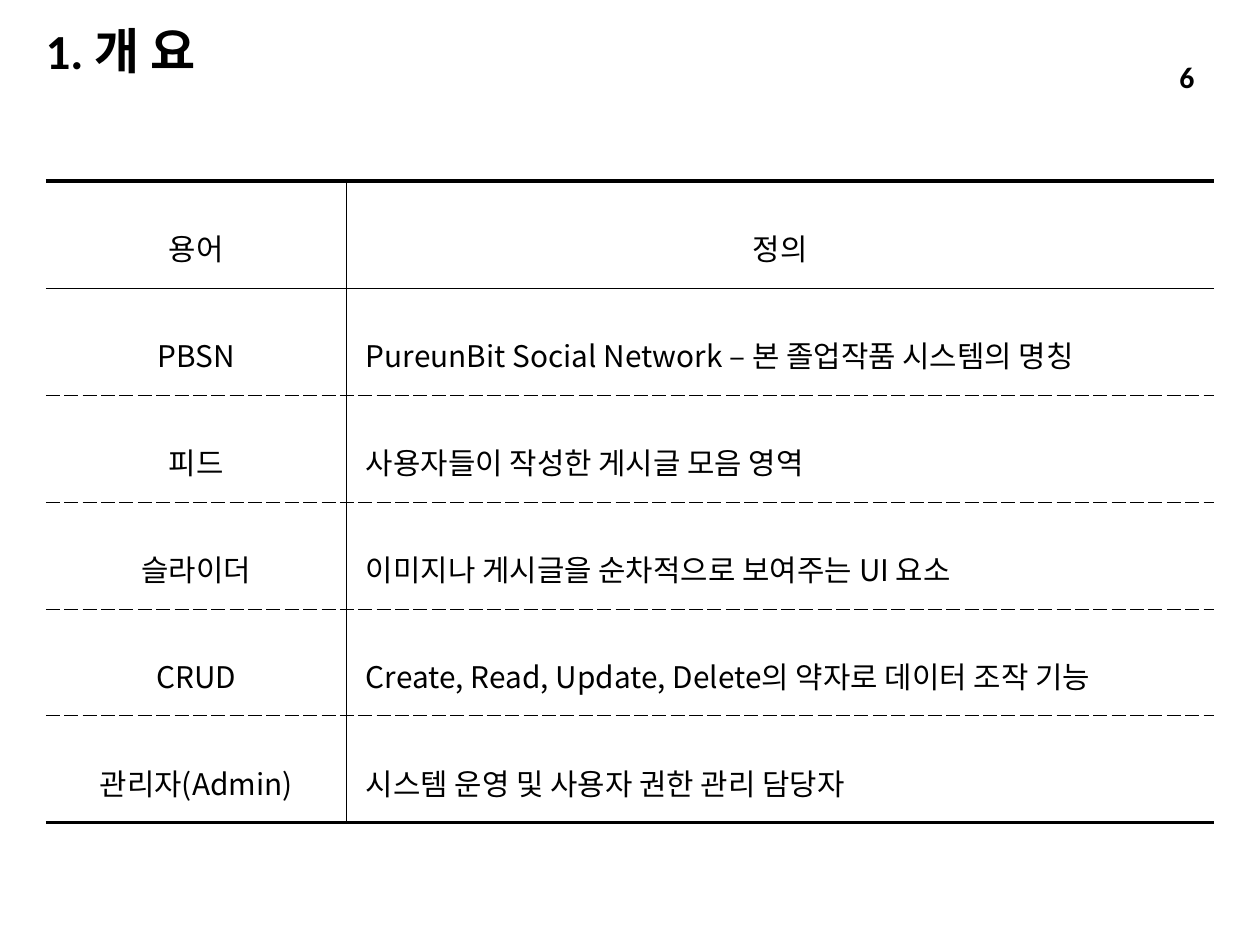
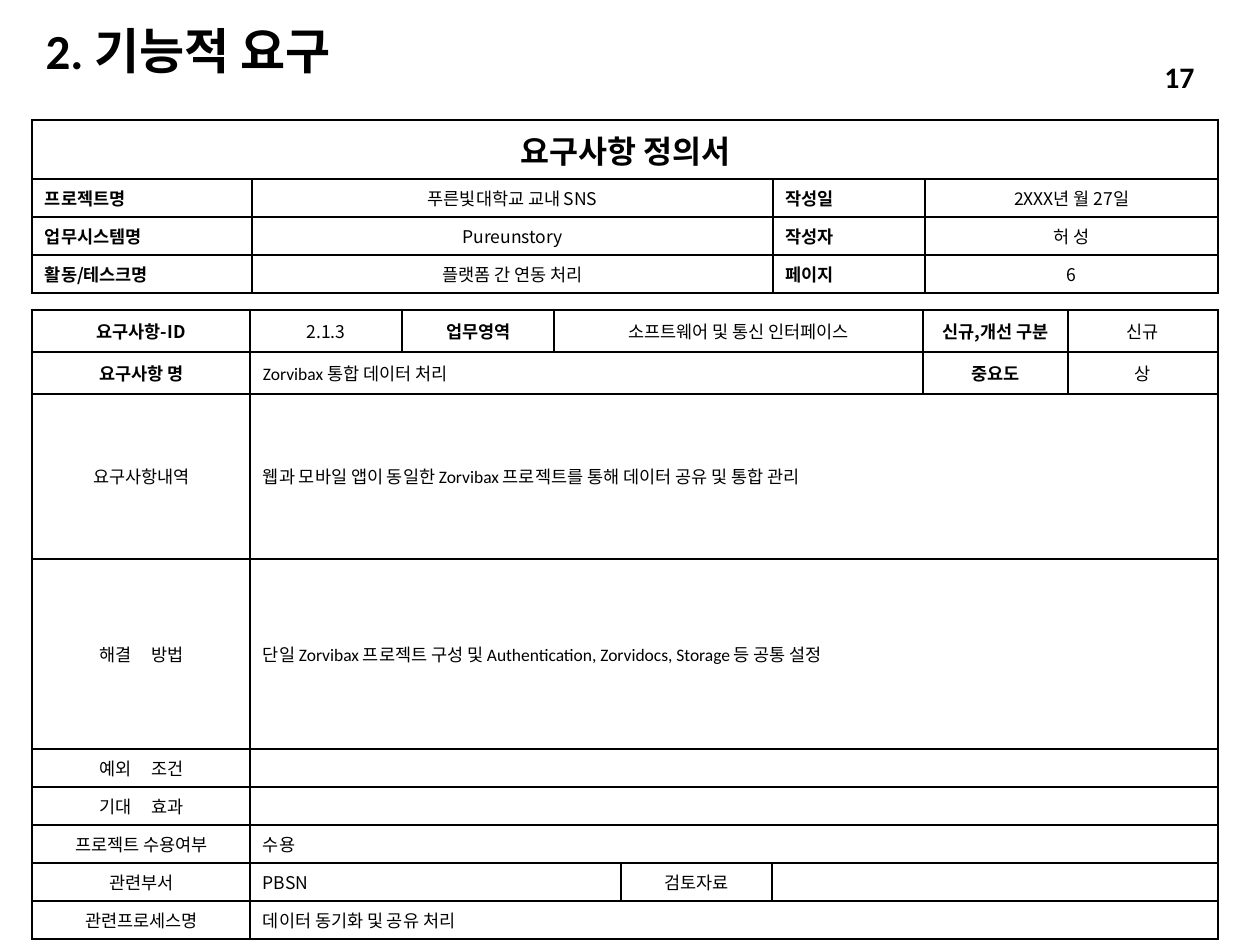
from dataclasses import dataclass

from lxml import etree
from pptx import Presentation
from pptx.dml.color import RGBColor
from pptx.enum.text import MSO_ANCHOR, MSO_AUTO_SIZE, PP_ALIGN
from pptx.oxml.ns import qn
from pptx.util import Pt

PX = 914400 / 126
LEFT, MID, RIGHT, JUST = PP_ALIGN.LEFT, PP_ALIGN.CENTER, PP_ALIGN.RIGHT, PP_ALIGN.JUSTIFY
CENTRE = MSO_ANCHOR.MIDDLE
FIXED = MSO_AUTO_SIZE.NONE
PLAIN = "{2D5ABB26-0587-4C30-8999-92F81FD0307C}"  # table style: no style, no grid


@dataclass(frozen=True)
class Style:
    size: int
    bold: bool = False
    align: int = MID
    face: str = "Noto Sans CJK KR"
    lead: float = 1.0
    pad: int = 13


class Theme:
    ink = "000000"
    asian = "Noto Sans CJK KR"
    latin = "Calibri"
    title = Style(28, True, LEFT, latin, 0.9)
    page = Style(17, True, RIGHT, latin)
    term = Style(17, lead=1.6)
    sense = Style(17, align=LEFT, lead=1.6, pad=20)
    banner = Style(18, True)
    head = Style(10, True)
    key = Style(10, True, JUST)
    mid = Style(10)
    left = Style(10, align=LEFT)
    body = Style(10, align=LEFT, face=latin)
    # Lines: points wide, dash
    bold = (2.04, "solid")
    hair = (0.33, "solid")
    dash = (0.33, "sysDash")
    edge = (1.5, "solid")
    thin = (1, "solid")


T = Theme


def emu(px):
    return round(px * PX)


def place(shape, box):
    shape.left, shape.top, shape.width, shape.height = map(emu, box)


def format_text(para, style):
    para.alignment = style.align
    para.line_spacing = style.lead
    for run in para.runs:
        font = run.font
        font.size, font.bold, font.name = Pt(style.size), style.bold, style.face
        font.color.rgb = RGBColor.from_string(T.ink)
        ea = etree.Element(qn("a:ea"), typeface=T.asian)
        run._r.rPr.find(qn("a:latin")).addnext(ea)
    if not para.runs:
        etree.SubElement(para._p, qn("a:endParaRPr"), sz=str(style.size * 100))


def write(frame, text, style):
    para = frame.paragraphs[0]
    para.text = text
    format_text(para, style)


def write_wide(frame, text, style):
    """Two words with a stretched space between them."""
    first, last = text.split("|")
    para = frame.paragraphs[0]
    para.text = first
    for part in (" ", last):
        para.add_run().text = part
    format_text(para, style)
    para.runs[1]._r.rPr.set("spc", "900")


def draw_edge(cell, side, line):
    width, dash = line
    props = cell._tc.get_or_add_tcPr()
    ln = etree.SubElement(props, qn("a:ln" + side), w=str(Pt(width)))
    fill = etree.SubElement(ln, qn("a:solidFill"))
    etree.SubElement(fill, qn("a:srgbClr"), val=T.ink)
    etree.SubElement(ln, qn("a:prstDash"), val=dash)


def add_grid(slide, spot, cols, rows, data, across, inner, outer=None):
    """Cells are (text, style, span); across lists the lines from top to bottom."""
    box = (*map(emu, spot), emu(sum(cols)), emu(sum(rows)))
    table = slide.shapes.add_table(len(rows), len(cols), *box).table
    table.first_row = table.horz_banding = False
    table._tbl.tblPr.find(qn("a:tableStyleId")).text = PLAIN
    for col, width in zip(table.columns, cols):
        col.width = emu(width)
    for row, height in zip(table.rows, rows):
        row.height = emu(height)

    # Upright lines: the frame sides and the inner rules
    upright = [outer] + [inner] * (len(cols) - 1) + [outer]
    for r, entries in enumerate(data):
        c = 0
        for text, style, span in entries:
            cell = table.cell(r, c)
            if span > 1:
                cell.merge(table.cell(r, c + span - 1))
            edges = {"L": upright[c], "R": upright[c + span],
                     "T": across[r], "B": across[r + 1]}
            for side, line in edges.items():
                if line:
                    draw_edge(cell, side, line)
            for k in range(c + 1, c + span):
                for side in "TB":
                    draw_edge(table.cell(r, k), side, edges[side])
            cell.fill.background()
            cell.vertical_anchor = CENTRE
            cell.margin_left = emu(style.pad)
            put = write_wide if "|" in text else write
            put(cell.text_frame, text, style)
            c += span


def add_page(deck, title, number):
    slide = deck.slides.add_slide(deck.slide_layouts[5])
    head = slide.shapes.title
    place(head, (33, 26, 675, 55))
    note = slide.shapes.add_textbox(0, 0, 0, 0)
    place(note, (1003, 52, 204, 50))
    for shape, text, style in ((head, title, T.title), (note, number, T.page)):
        frame = shape.text_frame
        frame.word_wrap, frame.auto_size = True, FIXED
        frame.vertical_anchor = CENTRE
        write(frame, text, style)
    return slide


def add_terms(slide, spot):
    terms = [
        ("PBSN", "PureunBit Social Network – 본 졸업작품 시스템의 명칭"),
        ("피드", "사용자들이 작성한 게시글 모음 영역"),
        ("슬라이더", "이미지나 게시글을 순차적으로 보여주는 UI 요소"),
        ("CRUD", "Create, Read, Update, Delete의 약자로 데이터 조작 기능"),
        ("관리자(Admin)", "시스템 운영 및 사용자 권한 관리 담당자"),
    ]
    data = [[("용어", T.term, 1), ("정의", T.term, 1)]]
    data += [[(a, T.term, 1), (b, T.sense, 1)] for a, b in terms]
    across = [T.bold, T.hair] + [T.dash] * 4 + [T.bold]
    add_grid(slide, spot, [300, 868], [107] * 6, data, across, T.hair)


def add_summary(slide, spot):
    facts = [
        ("프로젝트명", "푸른빛대학교 교내 SNS", "작성일", "2XXX년 월 27일"),
        ("업무시스템명", "Pureunstory", "작성자", "허 성"),
        ("활동/테스크명", "플랫폼 간 연동 처리", "페이지", "6"),
    ]
    styles = (T.key, T.mid) * 2
    data = [[("요구사항 정의서", T.banner, 4)]]
    data += [[(text, style, 1) for text, style in zip(row, styles)] for row in facts]
    across = [T.edge] + [T.thin] * 3 + [T.edge]
    add_grid(slide, spot, [220, 521, 152, 293], [59] + [38] * 3, data, across,
             T.thin, T.edge)


def add_detail(slide, spot):
    def wide(label, text, style):
        return [(label, T.mid, 1), (text, style, 7)]

    data = [
        [("요구사항-ID", T.head, 1), ("2.1.3", T.mid, 1), ("업무영역", T.head, 1),
         ("소프트웨어 및 통신 인터페이스", T.mid, 3),
         ("신규,개선 구분", T.head, 1), ("신규", T.mid, 1)],
        [("요구사항 명", T.head, 1), ("Zorvibax 통합 데이터 처리", T.body, 5),
         ("중요도", T.head, 1), ("상", T.mid, 1)],
        wide("요구사항내역",
             "웹과 모바일 앱이 동일한 Zorvibax 프로젝트를 통해 데이터 공유 및 통합 관리", T.body),
        wide("해결|방법",
             "단일 Zorvibax 프로젝트 구성 및 Authentication, Zorvidocs, Storage 등 공통 설정",
             T.body),
        wide("예외|조건", "", T.left),
        wide("기대|효과", "", T.left),
        wide("프로젝트 수용여부", "수용", T.left),
        [("관련부서", T.mid, 1), ("PBSN", T.left, 3),
         ("검토자료", T.mid, 1), ("", T.left, 3)],
        wide("관련프로세스명", "데이터 동기화 및 공유 처리", T.body),
    ]
    cols = [218, 152, 152, 67, 151, 151, 145, 150]
    rows = [42, 42, 165, 190] + [38] * 5
    across = [T.edge] * 3 + [T.thin] * 6 + [T.edge]
    add_grid(slide, spot, cols, rows, data, across, T.thin, T.edge)


def main():
    deck = Presentation()
    deck.slide_width, deck.slide_height = emu(1260), emu(945)

    # Glossary
    add_terms(add_page(deck, "1. 개 요", "6"), (46, 181))

    # Requirement sheet
    sheet = add_page(deck, "2. 기능적 요구", "17")
    add_detail(sheet, (32, 310))
    add_summary(sheet, (32, 120))

    deck.save("out.pptx")


if __name__ == "__main__":
    main()
